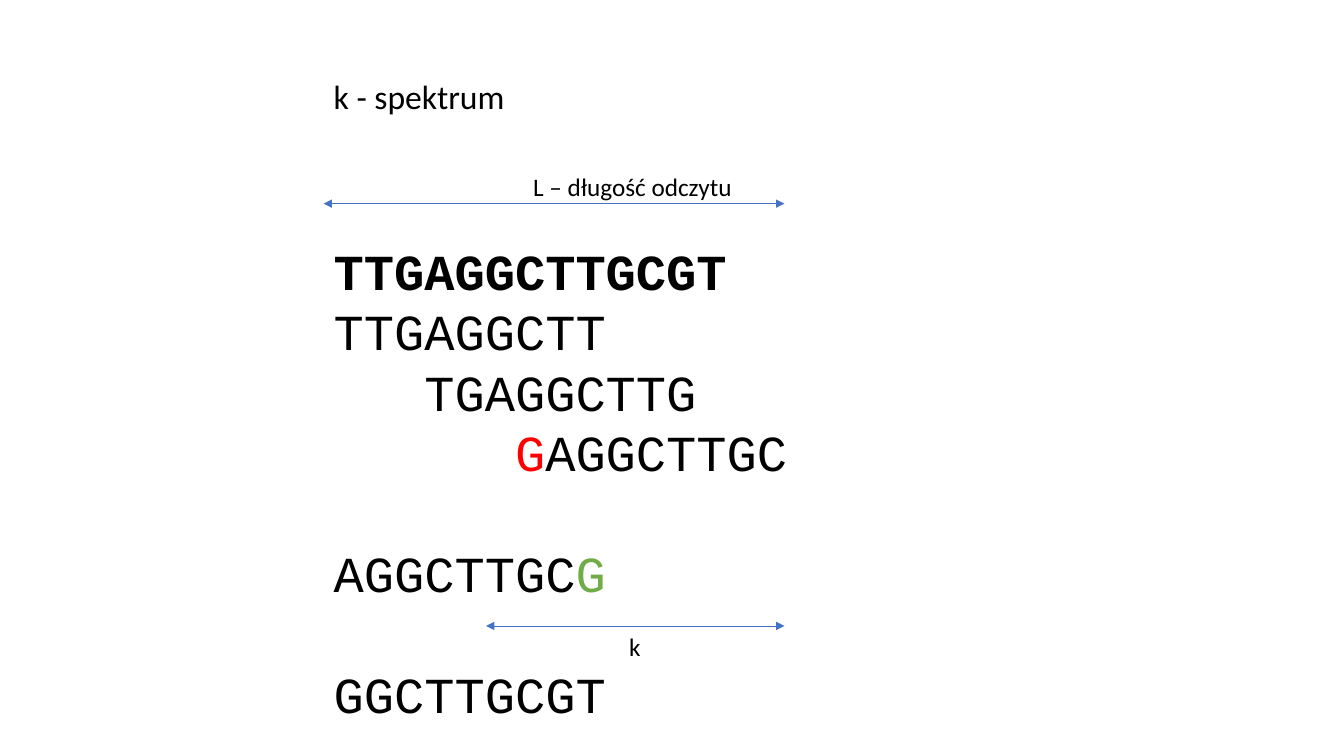
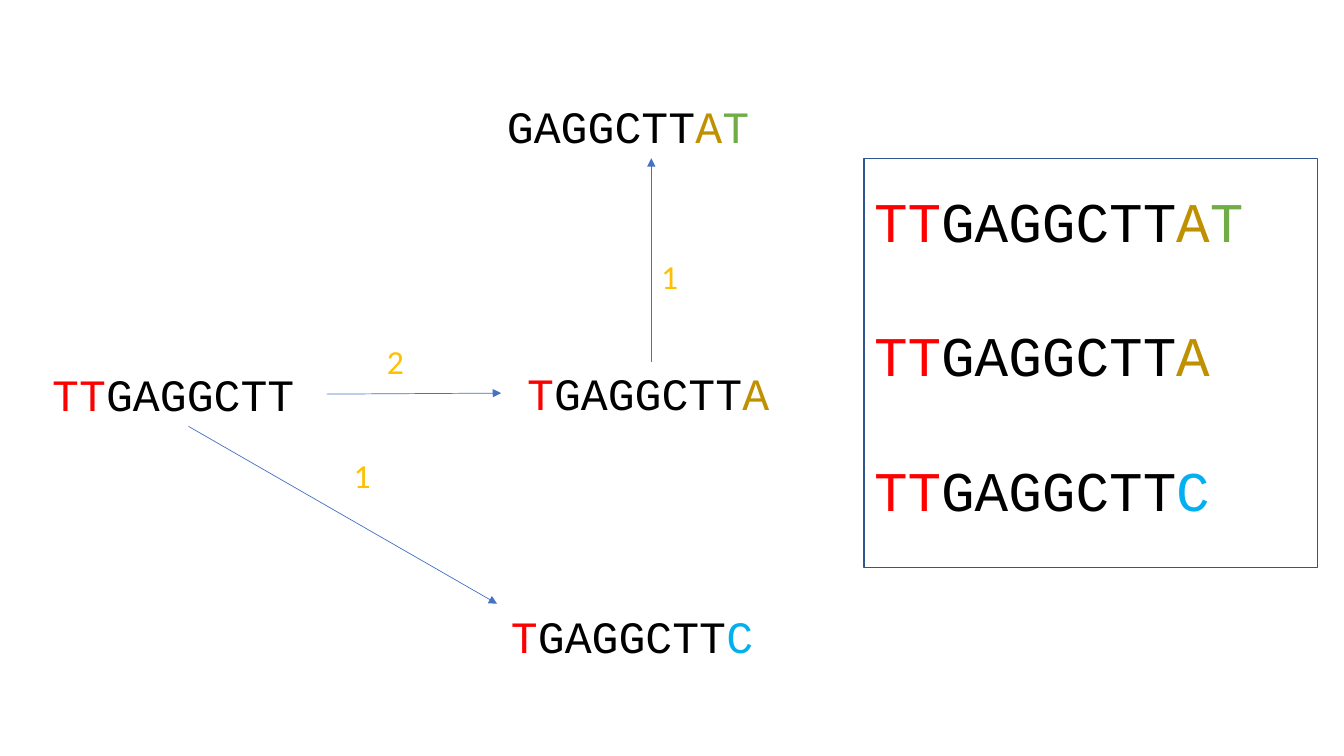
from lxml import etree
from pptx import Presentation
from pptx.dml.color import RGBColor
from pptx.enum.shapes import MSO_CONNECTOR, MSO_SHAPE
from pptx.enum.text import MSO_ANCHOR, MSO_AUTO_SIZE, PP_ALIGN
from pptx.oxml.ns import qn
from pptx.util import Inches, Pt

COLOURS = {
    "text": "000000", "dropped": "FF0000", "added": "70AD47", "gold": "BF9000",
    "cyan": "00B0F0", "weight": "FFC000", "arrow": "4472C4", "frame": "325491",
}
PLAIN, MONO = "Calibri", "Courier New"
LINE_RATIO = 1.2   # line height of MONO relative to its size
CHAR_RATIO = 0.6   # character width of MONO relative to its size
FRAME_FORMAT = {
    "word_wrap": True,
    "auto_size": MSO_AUTO_SIZE.NONE,
    "vertical_anchor": MSO_ANCHOR.TOP,
}

# Sequences are lists of (letters, colour) segments.
CORE = ("GAGGCTT", "text")
START = [("TT", "dropped"), CORE]
BRANCH_A = [("T", "dropped"), CORE, ("A", "gold")]
BRANCH_C = [("T", "dropped"), CORE, ("C", "cyan")]
BRANCH_AT = [CORE, ("A", "gold"), ("T", "added")]
ASSEMBLED = [
    START + [("A", "gold"), ("T", "added")],
    START + [("A", "gold")],
    START + [("C", "cyan")],
]

# Each row: segments, indent in characters, blank lines above.
SPECTRUM = [
    ([("TTGAGGCTTGCGT", "text")], 0, 0),
    ([("TTGAGGCTT", "text")], 0, 0),
    ([("TGAGGCTTG", "text")], 3, 0),
    ([("G", "dropped"), ("AGGCTTGC", "text")], 6, 0),
    ([("AGGCTTGC", "text"), ("G", "added")], 0, 1),
    ([("GGCTTGCGT", "text")], 0, 1),
]


def colour(name):
    return RGBColor.from_string(COLOURS[name])


def prepare_frame(shape):
    frame = shape.text_frame
    for attribute, value in FRAME_FORMAT.items():
        setattr(frame, attribute, value)
    return frame


def write_segments(paragraph, segments, size, font=MONO, bold=False):
    paragraph.alignment = PP_ALIGN.LEFT
    for letters, colour_name in segments:
        run = paragraph.add_run()
        run.text = letters
        for attribute, value in {"name": font, "size": Pt(size), "bold": bold}.items():
            setattr(run.font, attribute, value)
        run.font.color.rgb = colour(colour_name)


def add_text(slide, box, rows, size, font=MONO, bold_first=False):
    """Place rows of (segments, indent, blank lines above) in a text box."""
    shape = slide.shapes.add_textbox(*map(Inches, box))
    frame = prepare_frame(shape)
    for index, (segments, indent, gap) in enumerate(rows):
        paragraph = frame.add_paragraph() if index else frame.paragraphs[0]
        if indent:
            margin = Pt(indent * CHAR_RATIO * size)
            properties = paragraph._p.get_or_add_pPr()
            properties.set("marL", str(margin))
            properties.set("indent", "0")
        if gap:
            paragraph.space_before = Pt(gap * LINE_RATIO * size)
        write_segments(paragraph, segments, size, font, bold_first and index == 0)
    return shape


def add_label(slide, box, text, size, colour_name="text"):
    return add_text(slide, box, [([(text, colour_name)], 0, 0)], size, PLAIN)


def add_arrow(slide, start, end, both_ends=False):
    arrow = slide.shapes.add_connector(
        MSO_CONNECTOR.STRAIGHT, *map(Inches, (*start, *end)))
    arrow.line.width = Pt(0.5)
    arrow.line.color.rgb = colour("arrow")
    outline = arrow.line._get_or_add_ln()
    for tag in ("a:headEnd", "a:tailEnd") if both_ends else ("a:tailEnd",):
        etree.SubElement(outline, qn(tag), type="triangle")
    etree.SubElement(arrow._element.spPr, qn("a:effectLst"))
    return arrow


def add_title(slide, box, text):
    title = slide.shapes.title
    title.left, title.top, title.width, title.height = map(Inches, box)
    frame = prepare_frame(title)
    write_segments(frame.paragraphs[0], [(text, "text")], 24, PLAIN)


def add_read_rows(slide, left, top):
    """Draw the read, its k-mers and the two dimension arrows."""
    right = left + 4.57
    add_text(slide, (left, top, 5.34, 4.34), SPECTRUM, 36, bold_first=True)
    add_arrow(slide, (left, top - 0.31), (right, top - 0.31), both_ends=True)
    add_label(slide, (left + 1.98, top - 0.68, 2.3, 0.4), "L – długość odczytu", 18)
    add_arrow(slide, (left + 1.61, top + 3.88), (right, top + 3.88), both_ends=True)
    add_label(slide, (left + 2.93, top + 3.88, 0.32, 0.4), "k", 18)


def add_overlap_graph(slide, left, top):
    """Draw k-mers as nodes joined by arrows weighted with their counts."""
    def at(x, y):
        return left + x, top + y

    nodes = [
        (BRANCH_AT, 4.51, 0), (BRANCH_A, 4.71, 2.65),
        (BRANCH_C, 4.55, 5.06), (START, 0, 2.66),
    ]
    for segments, x, y in nodes:
        node = add_text(slide, (*at(x, y), 2.9, 0.64), [(segments, 0, 0)], 32)
    start_node = node

    add_arrow(slide, at(2.82, 2.98), at(4.55, 2.97))
    add_arrow(slide, at(6.04, 2.66), at(6.04, 0.64))
    add_arrow(slide, at(1.45, 3.3), at(4.51, 5.06)).begin_connect(start_node, 2)

    for count, x, y in [("1", 2.99, 3.53), ("2", 3.32, 2.4), ("1", 6.04, 1.56)]:
        add_label(slide, (*at(x, y), 0.4, 0.5), count, 24, "weight")


def add_assembled_panel(slide, left, top, width, height):
    rows = [(segments, 0, int(index > 0)) for index, segments in enumerate(ASSEMBLED)]
    add_text(slide, (left, top + 0.23, width - 0.18, height), rows, 40)
    panel = slide.shapes.add_shape(
        MSO_SHAPE.RECTANGLE, *map(Inches, (left, top, width, height)))
    panel.shadow.inherit = False
    panel.fill.background()
    panel.line.width = Pt(1)
    panel.line.color.rgb = colour("frame")


def build_spectrum_slide(deck):
    slide = deck.slides.add_slide(deck.slide_layouts.get_by_name("Title Only"))
    add_title(slide, (3.21, 0.7, 3.22, 0.5), "k - spektrum")
    add_read_rows(slide, 3.21, 2.33)


def build_graph_slide(deck):
    slide = deck.slides.add_slide(deck.slide_layouts.get_by_name("Blank"))
    add_overlap_graph(slide, 0.42, 0.93)
    add_assembled_panel(slide, 8.57, 1.57, 4.5, 4.06)


def main():
    deck = Presentation()
    deck.slide_width, deck.slide_height = Inches(13.33), Inches(7.5)
    build_spectrum_slide(deck)
    build_graph_slide(deck)
    deck.save("out.pptx")


if __name__ == "__main__":
    main()
